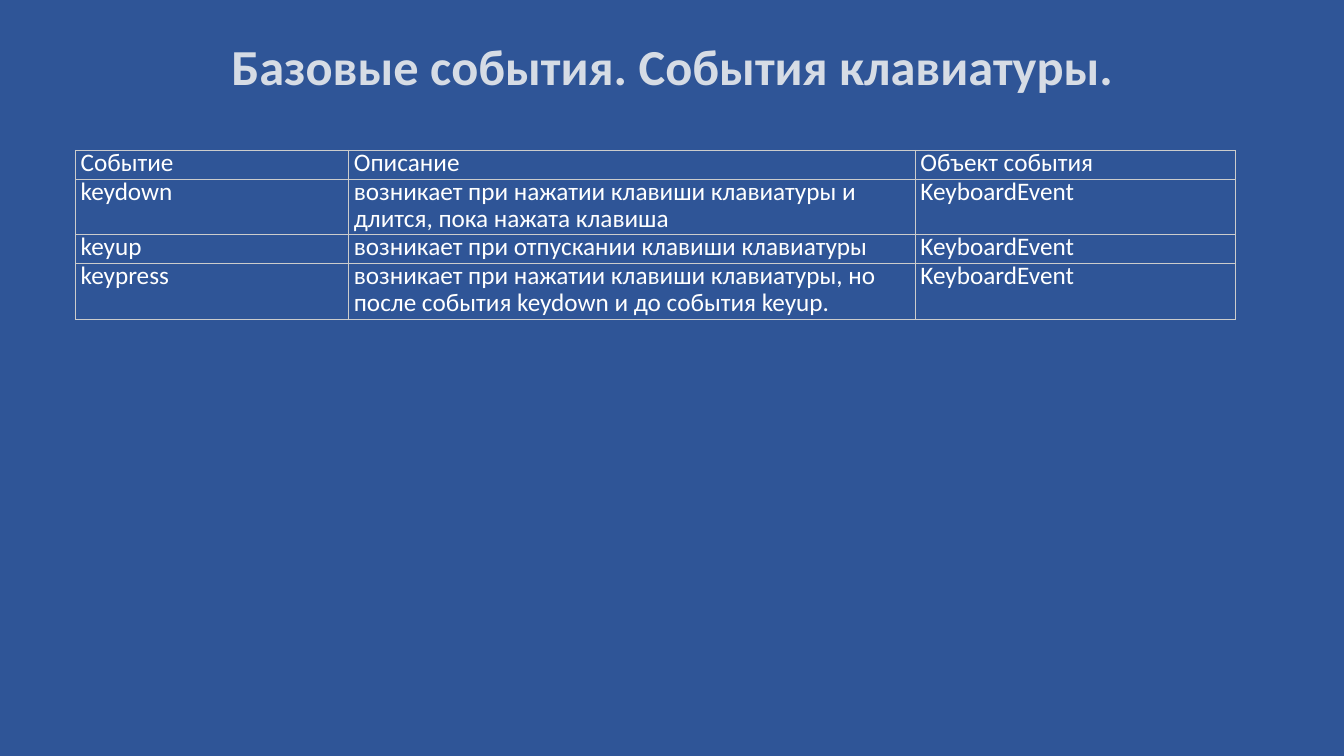
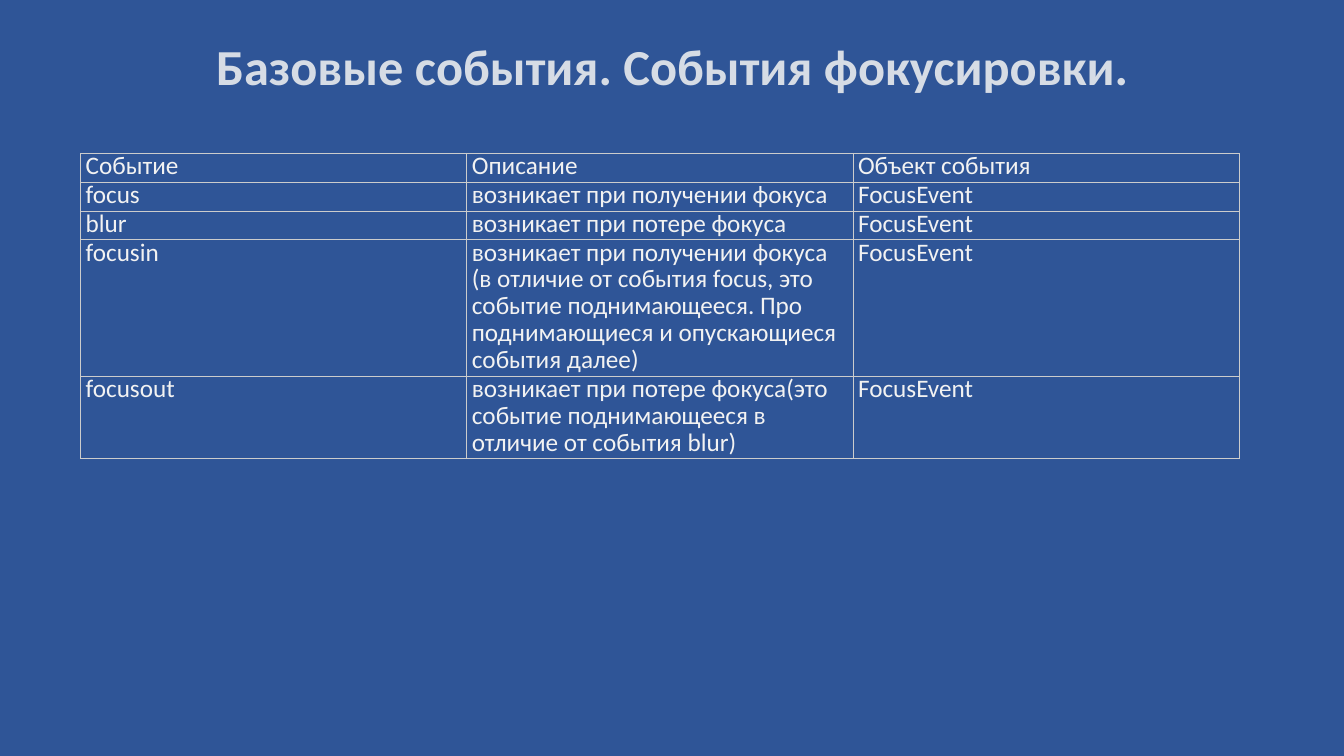
from pptx import Presentation
from pptx.dml.color import RGBColor
from pptx.enum import text
from pptx.oxml import parse_xml
from pptx.oxml.ns import nsdecls
from pptx.util import Inches, Pt

BLUE = RGBColor(0x2F, 0x55, 0x97)
PALE = RGBColor(0xD6, 0xDC, 0xE5)
WHITE = RGBColor(0xFF, 0xFF, 0xFF)
LIGHT = RGBColor(0xF2, 0xF2, 0xF2)
GREY = RGBColor(0xCC, 0xCC, 0xCC)
FONT = "Calibri"
ROW = 0.28
HEAD = ("Событие", "Описание", "Объект события")

KEYS = [
    ("keydown", "возникает при нажатии клавиши клавиатуры и длится, пока нажата клавиша"),
    ("keyup", "возникает при отпускании клавиши клавиатуры"),
    ("keypress", "возникает при нажатии клавиши клавиатуры, но после события keydown и до события keyup."),
]
FOCUS = [
    ("focus", "возникает при получении фокуса"),
    ("blur", "возникает при потере фокуса"),
    ("focusin", "возникает при получении фокуса (в отличие от события focus, это событие "
                "поднимающееся. Про поднимающиеся и опускающиеся события далее)"),
    ("focusout", "возникает при потере фокуса(это событие поднимающееся в отличие от события blur)"),
]


def style(para, size, color, bold=False):
    font = para.font
    font.name = FONT
    font.size = Pt(size)
    font.bold = bold
    font.color.rgb = color


def add_title(slide, words):
    box = slide.shapes.add_textbox(Inches(1.67), Inches(0.31), Inches(10), Inches(0.7))
    frame = box.text_frame
    frame.word_wrap = True
    frame.vertical_anchor = text.MSO_ANCHOR.BOTTOM
    para = frame.paragraphs[0]
    para.text = words
    para.alignment = text.PP_ALIGN.CENTER
    para.line_spacing = 0.9
    style(para, 36, PALE, True)


def add_border(cell):
    props = cell._tc.get_or_add_tcPr()
    for index, side in enumerate(("lnL", "lnR", "lnT", "lnB")):
        line = parse_xml(
            f'<a:{side} {nsdecls("a")} w="{Pt(0.75)}"><a:solidFill>'
            f'<a:srgbClr val="{GREY}"/></a:solidFill></a:{side}>')
        props.insert(index, line)


def fill_cell(cell, words, color):
    cell.margin_left = Inches(0.05)
    cell.margin_right = Inches(0.03)
    cell.margin_top = cell.margin_bottom = Inches(0.01)
    cell.fill.background()
    add_border(cell)
    para = cell.text_frame.paragraphs[0]
    para.text = words
    para.line_spacing = Pt(19.2)
    style(para, 18, color)


def add_grid(slide, left, top, widths, rows, color):
    frame = slide.shapes.add_table(
        len(rows), len(widths), Inches(left), Inches(top),
        Inches(sum(widths)), Inches(ROW * len(rows)))
    table = frame.table
    table.first_row = table.horz_banding = False
    for column, width in zip(table.columns, widths):
        column.width = Inches(width)
    for row, items in zip(table.rows, rows):
        for cell, words in zip(row.cells, items):
            fill_cell(cell, words, color)


def add_page(deck, topic, events, kind, left, top, widths, color):
    slide = deck.slides.add_slide(deck.slide_layouts[6])
    add_title(slide, f"Базовые события. События {topic}.")
    rows = [HEAD] + [(name, note, kind) for name, note in events]
    add_grid(slide, left, top, widths, rows, color)


def main():
    deck = Presentation()
    deck.slide_width = Inches(13.33)
    deck.slide_height = Inches(7.5)
    back = deck.slide_master.background.fill
    back.solid()
    back.fore_color.rgb = BLUE
    add_page(deck, "клавиатуры", KEYS, "KeyboardEvent", 0.75, 1.49, (2.71, 5.62, 3.17), WHITE)
    add_page(deck, "фокусировки", FOCUS, "FocusEvent", 0.8, 1.52, (3.83,) * 3, LIGHT)
    deck.save("out.pptx")


if __name__ == "__main__":
    main()
